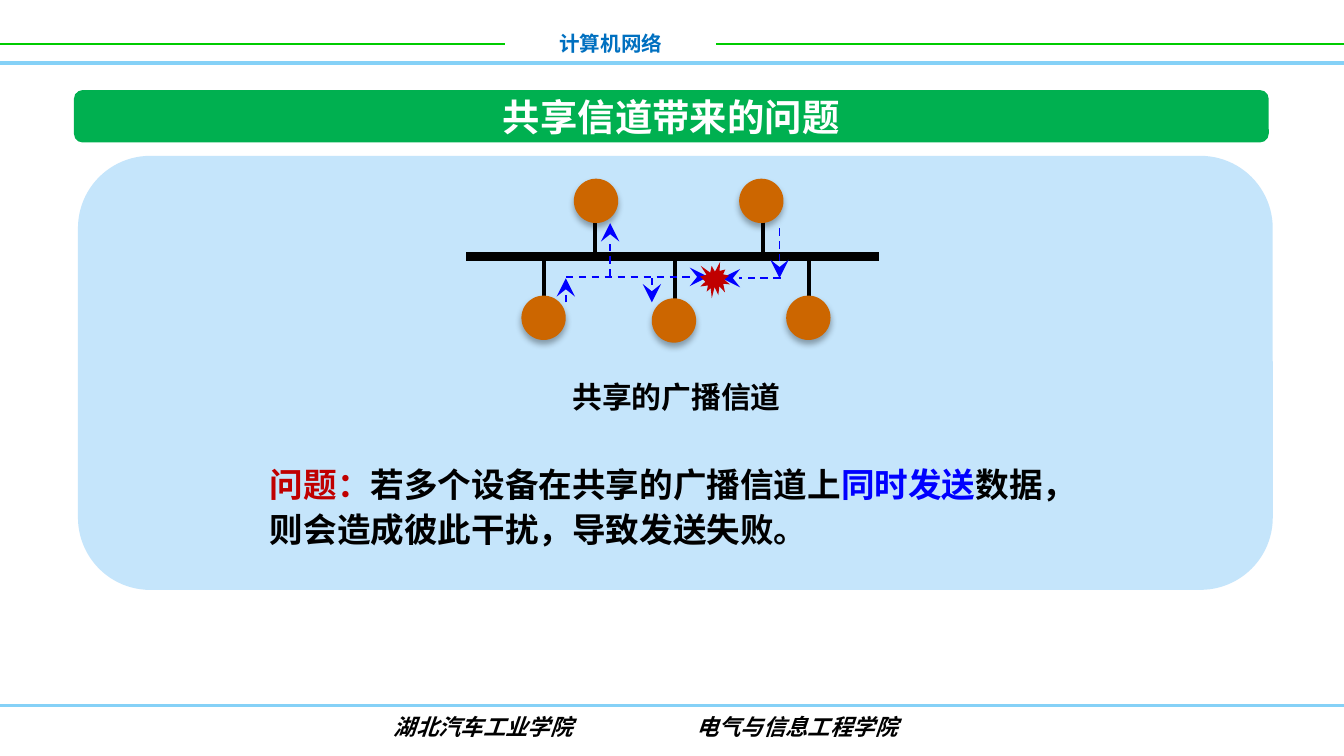
from lxml import etree
from pptx import Presentation
from pptx.dml.color import RGBColor
from pptx.enum.dml import MSO_LINE
from pptx.enum.shapes import MSO_CONNECTOR, MSO_SHAPE
from pptx.enum.text import MSO_ANCHOR, MSO_AUTO_SIZE, PP_ALIGN
from pptx.oxml.ns import qn
from pptx.util import Inches, Pt

STRAIGHT = MSO_CONNECTOR.STRAIGHT
DASH = MSO_LINE.DASH
ROUNDED, OVAL, BURST = MSO_SHAPE.ROUNDED_RECTANGLE, MSO_SHAPE.OVAL, MSO_SHAPE.EXPLOSION1
LEFT, CENTER = PP_ALIGN.LEFT, PP_ALIGN.CENTER
MIDDLE, TOP = MSO_ANCHOR.MIDDLE, MSO_ANCHOR.TOP
FIXED_SIZE = MSO_AUTO_SIZE.NONE

THEME = {
    "font": "Noto Sans CJK SC", "footer_font": "Arial",
    "green_rule": "00CC00", "blue_rule": "85D1F7", "course": "0070C0",
    "banner": "00B050", "panel": "C5E5FB", "station": "CC6600",
    "black": "000000", "white": "FFFFFF", "red": "C00000", "signal": "0000FF",
    "course_size": 11, "footer_size": 12, "title_size": 20,
    "caption_size": 16, "problem_size": 18,
}

COURSE = "计算机网络"
FOOTER = "湖北汽车工业学院\t电气与信息工程学院"
TITLE = "共享信道带来的问题"
CAPTION = "共享的广播信道"
PROBLEM = [
    ("问题：", "red"),
    ("若多个设备在共享的广播信道上", "black"),
    ("同时发送", "signal"),
    ("数据，则会造成彼此干扰，导致发送失败。", "black"),
]

# from x, from y, to x, to y, colour, width
RULES = [
    (0, 0.33, 3.76, 0.33, "green_rule", 1),
    (5.33, 0.33, 10, 0.33, "green_rule", 1),
    (0, 0.47, 10, 0.47, "blue_rule", 2),
    (0, 5.25, 10, 5.25, "blue_rule", 1.5),
]
BUS = (3.47, 1.91, 6.54, 1.91)
STATION_SIZE = 0.33
# left and top of the circle, then x, start and end of its stub
STATIONS = [
    (4.27, 1.33, 4.43, 1.58, 1.91),
    (5.5, 1.33, 5.68, 1.58, 1.91),
    (4.85, 2.22, 5.02, 1.94, 2.28),
    (5.85, 2.2, 6.02, 1.92, 2.26),
    (3.88, 2.2, 4.05, 1.92, 2.26),
]
SIGNALS = [
    (5.81, 2.07, 5.37, 2.07),
    (5.8, 1.7, 5.8, 2.07),
    (4.21, 2.06, 5.27, 2.06),
    (4.54, 2.06, 4.54, 1.66),
    (4.85, 2.07, 4.85, 2.25),
    (4.21, 2.25, 4.21, 2.07),
]


def color(name):
    return RGBColor.from_string(THEME[name])


def add_line(shapes, start_x, start_y, end_x, end_y, line_color, width, signal=False):
    """A straight line; a signal is dashed and ends in an arrowhead."""
    line = shapes.add_connector(
        STRAIGHT, *(Inches(value) for value in (start_x, start_y, end_x, end_y)))
    line.line.color.rgb = color(line_color)
    line.line.width = Pt(width)
    properties = line._element.spPr
    if signal:
        line.line.dash_style = DASH
        etree.SubElement(properties.find(qn("a:ln")), qn("a:tailEnd"),
                         type="stealth", w="lg", len="lg")
    etree.SubElement(properties, qn("a:effectLst"))


def add_filled(shapes, kind, box, fill):
    shape = shapes.add_shape(kind, *(Inches(value) for value in box))
    shape.shadow.inherit = False
    shape.fill.solid()
    shape.fill.fore_color.rgb = color(fill)
    shape.line.fill.background()
    return shape


def add_soft_shadow(shape):
    effects = shape._element.spPr.find(qn("a:effectLst"))
    shadow = etree.SubElement(
        effects, qn("a:outerShdw"), blurRad=str(Pt(3.5)), dist=str(Pt(2.2)),
        dir="5400000", rotWithShape="0")
    shade = etree.SubElement(shadow, qn("a:srgbClr"), val=THEME["black"])
    etree.SubElement(shade, qn("a:alpha"), val="32000")


def set_frame(shape, wrap=True, anchor=TOP, margin_left=0.1):
    frame = shape.text_frame
    settings = {
        "word_wrap": wrap, "auto_size": FIXED_SIZE, "vertical_anchor": anchor,
        "margin_left": Inches(margin_left), "margin_right": Inches(0.1),
        "margin_top": Inches(0.05), "margin_bottom": Inches(0.05),
    }
    for name, value in settings.items():
        setattr(frame, name, value)
    return frame


def add_text_box(slide, box, **settings):
    shape = slide.shapes.add_textbox(*(Inches(value) for value in box))
    return set_frame(shape, **settings)


def write(paragraph, runs, size, align=CENTER, font="font", italic=None):
    paragraph.alignment = align
    for text, run_color in runs:
        run = paragraph.add_run()
        run.text = text
        formats = {"name": THEME[font], "size": Pt(THEME[size]),
                   "bold": True, "italic": italic}
        for name, value in formats.items():
            setattr(run.font, name, value)
        run.font.color.rgb = color(run_color)
        etree.SubElement(run._r.get_or_add_rPr(), qn("a:ea"), typeface=THEME["font"])


def add_header_and_footer(slide):
    for rule in RULES:
        add_line(slide.shapes, *rule)
    course = add_text_box(slide, (3.76, 0.18, 1.57, 0.29), anchor=MIDDLE)
    write(course.paragraphs[0], [(COURSE, "course")], "course_size")

    footer = add_text_box(slide, (1.02, 5.26, 7.56, 0.3), anchor=MIDDLE, margin_left=1.91)
    paragraph = footer.paragraphs[0]
    tabs = etree.SubElement(paragraph._p.get_or_add_pPr(), qn("a:tabLst"))
    etree.SubElement(tabs, qn("a:tab"), pos=str(Inches(2.25)), algn="l")
    write(paragraph, [(FOOTER, "black")], "footer_size", LEFT, "footer_font", True)


def add_title(slide):
    add_filled(slide.shapes, ROUNDED, (0.55, 0.67, 8.89, 0.39), "banner")
    title = slide.shapes.title
    places = {"left": 3.63, "top": 0.65, "width": 2.73, "height": 0.44}
    for name, value in places.items():
        setattr(title, name, Inches(value))
    frame = set_frame(title, wrap=False, anchor=MIDDLE)
    write(frame.paragraphs[0], [(TITLE, "white")], "title_size")
    slide.shapes._spTree.append(title._element)  # in front of the banner


def add_explanation(slide):
    add_filled(slide.shapes, ROUNDED, (0.58, 1.16, 8.89, 3.23), "panel")
    frame = add_text_box(slide, (1.91, 2.7, 6.25, 1.45))
    caption, problem = frame.paragraphs[0], frame.add_paragraph()
    caption.line_spacing = problem.line_spacing = Pt(24)
    problem.space_before = Pt(24)
    write(caption, [(CAPTION, "black")], "caption_size")
    write(problem, PROBLEM, "problem_size", LEFT)


def add_network(slide):
    network = slide.shapes.add_group_shape().shapes
    add_line(network, *BUS, "black", 4.5)
    for _, _, stub, start, end in STATIONS:
        add_line(network, stub, start, stub, end, "black", 2.25)
    for left, top, *_ in STATIONS:
        box = (left, top, STATION_SIZE, STATION_SIZE)
        add_soft_shadow(add_filled(network, OVAL, box, "station"))
    signals = slide.shapes.add_group_shape().shapes
    for signal in SIGNALS:
        add_line(signals, *signal, "signal", 1, signal=True)
    add_filled(slide.shapes, BURST, (5.21, 1.95, 0.22, 0.27), "red")


def main():
    presentation = Presentation()
    presentation.slide_width = Inches(10)
    presentation.slide_height = Inches(10) * 9 // 16
    slide = presentation.slides.add_slide(presentation.slide_layouts[5])
    add_header_and_footer(slide)
    add_title(slide)
    add_explanation(slide)
    add_network(slide)
    presentation.save("out.pptx")


if __name__ == "__main__":
    main()
